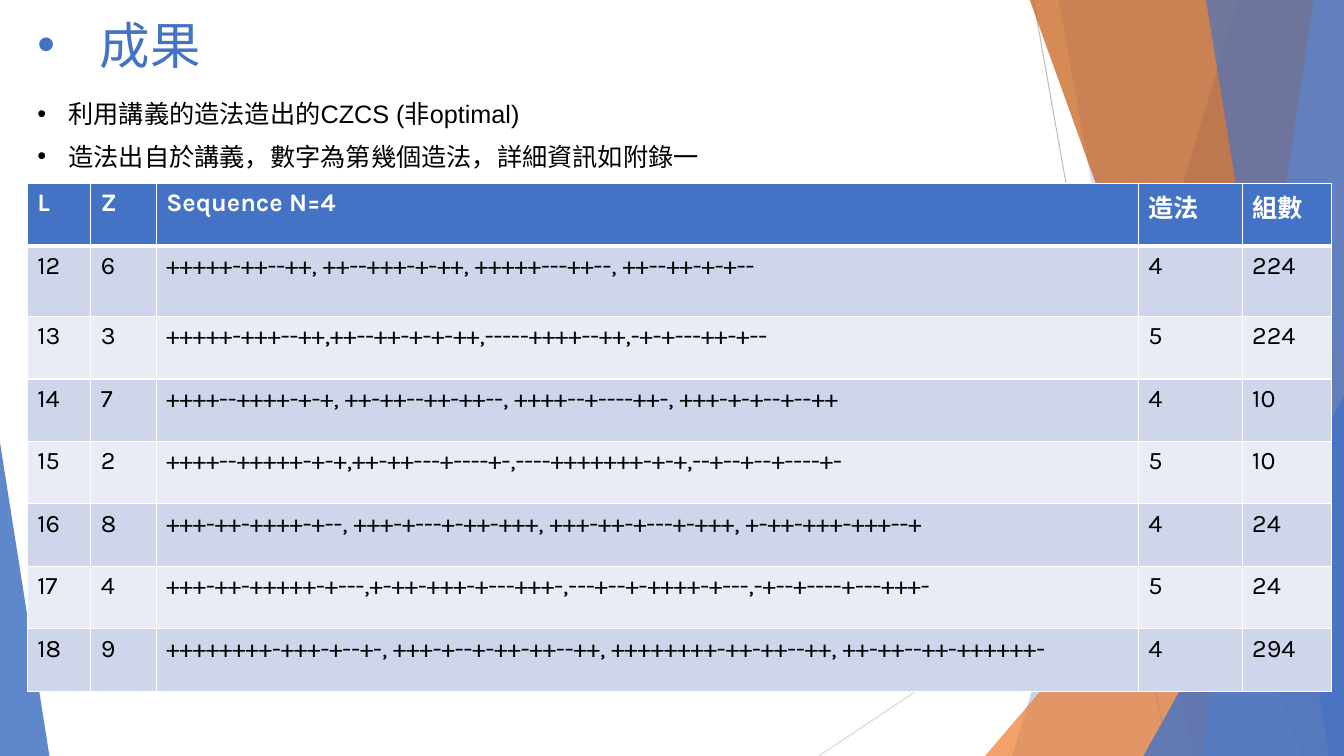
from lxml import etree
from pptx import Presentation
from pptx import util as u
from pptx.dml.color import RGBColor
from pptx.enum import shapes, text
from pptx.oxml import ns

COLORS = {
    "blue": "4472C4", "light_blue": "8FAADC", "orange": "ED7D31",
    "rust": "C55A11", "grey": "BFBFBF", "pale_grey": "D9D9D9",
    "white": "FFFFFF", "black": "000000",
    "band_dark": "CFD5EA", "band_light": "E9EBF5",
}
I = u.Inches
W, H = 13.33, 7.5


def sub(parent, tag, **attrs):
    return etree.SubElement(parent, ns.qn(tag), **attrs)


class SlideBuilder:
    font, body_font = "Karla", "Arial"

    def __init__(self, prs):
        self.s = prs.slides.add_slide(prs.slide_layouts[3])

    def color(self, name):
        return RGBColor.from_string(COLORS[name])

    def style(self, p, size, color, font, bold=False):
        for r in p.runs:
            r.font.size, r.font.name, r.font.bold = u.Pt(size), font, bold
            r.font.color.rgb = self.color(color)

    def line(self, start, end, color):
        c = self.s.shapes.add_connector(
            shapes.MSO_CONNECTOR.STRAIGHT, *map(I, start + end))
        c.line.color.rgb = self.color(color)
        c.line.width = u.Pt(0.75)
        sub(c._element.spPr, "a:effectLst")

    def tint(self, sp, color, alpha):
        sp.shadow.inherit = False
        sp.line.fill.background()
        sp.fill.solid()
        sp.fill.fore_color.rgb = self.color(color)
        clr = sp._element.spPr.find(".//" + ns.qn("a:srgbClr"))
        sub(clr, "a:alpha", val=str(alpha * 1000))

    def facet(self, top, bottom, color, alpha):
        """Fill from a slanted left edge to the right side of the slide."""
        fb = self.s.shapes.build_freeform(I(top), I(-0.01))
        fb.add_line_segments([(I(W), I(-0.01)), (I(W), I(H)), (I(bottom), I(H))])
        self.tint(fb.convert_to_shape(), color, alpha)

    def triangle(self, box, apex, color, alpha):
        sp = self.s.shapes.add_shape(
            shapes.MSO_SHAPE.ISOSCELES_TRIANGLE, *map(I, box))
        sp.adjustments[0] = apex
        self.tint(sp, color, alpha)

    def bullet(self, idx, wording, box, indent, size, color, font):
        sp = self.s.placeholders[idx]
        sp.left, sp.top, sp.width, sp.height = map(I, box)
        self.s.shapes._spTree.append(sp._element)  # bring to front
        tf = sp.text_frame
        tf.text = wording
        tf.word_wrap = True
        tf.auto_size = text.MSO_AUTO_SIZE.NONE
        tf.vertical_anchor = text.MSO_ANCHOR.TOP
        p = tf.paragraphs[0]
        p.alignment = text.PP_ALIGN.LEFT
        p.space_before = u.Pt(0)
        pPr = p._p.get_or_add_pPr()
        pPr.set("marL", str(I(indent)))
        pPr.set("indent", str(-I(indent)))
        sub(pPr, "a:buFont", typeface="Arial")
        sub(pPr, "a:buChar", char="•")
        self.style(p, size, color, font)

    def cell(self, cell, wording, fill, color, header):
        tcPr = cell._tc.get_or_add_tcPr()
        for side in "LRTB":
            width = 3 if header and side == "B" else 1
            ln = sub(tcPr, "a:ln" + side, w=str(u.Pt(width)))
            sub(sub(ln, "a:solidFill"), "a:srgbClr", val=COLORS["white"])
        cell.fill.solid()
        cell.fill.fore_color.rgb = self.color(fill)
        cell.text_frame.text = wording
        self.style(cell.text_frame.paragraphs[0], 18, color, self.font, header)

    def table(self, rows, box, widths, heights):
        tbl = self.s.shapes.add_table(
            len(rows), len(widths), *map(I, box)).table
        for col, width in zip(tbl.columns, widths):
            col.width = I(width)
        for i, (row, height) in enumerate(zip(rows, heights)):
            tbl.rows[i].height = I(height)
            header = i == 0
            fill = "blue" if header else ("band_light", "band_dark")[i % 2]
            for j, wording in enumerate(row):
                self.cell(tbl.cell(i, j), wording, fill,
                          "white" if header else "black", header)


ROWS = [
    ("L", "Z", "Sequence N=4", "造法", "組數"),
    ("12", "6", "+++++-++--++, ++--+++-+-++, +++++---++--, ++--++-+-+--", "4", "224"),
    ("13", "3", "+++++-+++--++,++--++-+-+-++,-----++++--++,-+-+---++-+--", "5", "224"),
    ("14", "7", "++++--++++-+-+, ++-++--++-++--, ++++--+----++-, +++-+-+--+--++", "4", "10"),
    ("15", "2", "++++--+++++-+-+,++-++---+----+-,----+++++++-+-+,--+--+--+----+-", "5", "10"),
    ("16", "8", "+++-++-++++-+--, +++-+---+-++-+++, +++-++-+---+-+++, +-++-+++-+++--+", "4", "24"),
    ("17", "4", "+++-++-+++++-+---,+-++-+++-+---+++-,---+--+-++++-+---,-+--+----+---+++-", "5", "24"),
    ("18", "9", "++++++++-+++-+--+-, +++-+--+-++-++--++, ++++++++-++-++--++, ++-++--++-++++++-", "4", "294"),
]


def main():
    prs = Presentation()
    prs.slide_width, prs.slide_height = I(W), I(H)
    b = SlideBuilder(prs)

    # Faceted background
    b.line((10.25, 0), (11.58, H), "grey")
    b.line((W, 4.03), (8.12, H), "pale_grey")
    b.facet(12.28, 10.04, "blue", 30)
    b.facet(10.5, 11.83, "blue", 20)
    b.triangle((9.77, 3.33, 3.56, 4.17), 1, "orange", 72)
    b.facet(10.21, 12.91, "rust", 70)
    b.facet(13.03, 11.92, "light_blue", 70)
    b.facet(11.96, 13.18, "blue", 65)
    b.triangle((11.34, 3.93, 1.99, 3.57), 1, "blue", 80)
    b.triangle((0, 4.39, 0.49, 3.11), 0, "blue", 85)

    # Results table
    b.table(ROWS, (0.27, 1.82, 12.94, 5.08),
            (0.63, 0.65, 9.74, 1.03, 0.89), [0.62, 0.7] + [0.62] * 6)

    # Title and notes on the constructions
    b.bullet(0, "成果", (0.27, 0.09, 9.4, 1.44), 0.62, 36, "blue", b.font)
    notes = ("利用講義的造法造出的CZCS (非optimal)",
             "造法出自於講義，數字為第幾個造法，詳細資訊如附錄一")
    for i, note in enumerate(notes):
        b.bullet(i + 1, note, (0.27, 0.93 + 0.42 * i, 6.97, 0.4),
                 0.31, 18, "black", b.body_font)

    prs.save("out.pptx")


if __name__ == "__main__":
    main()
